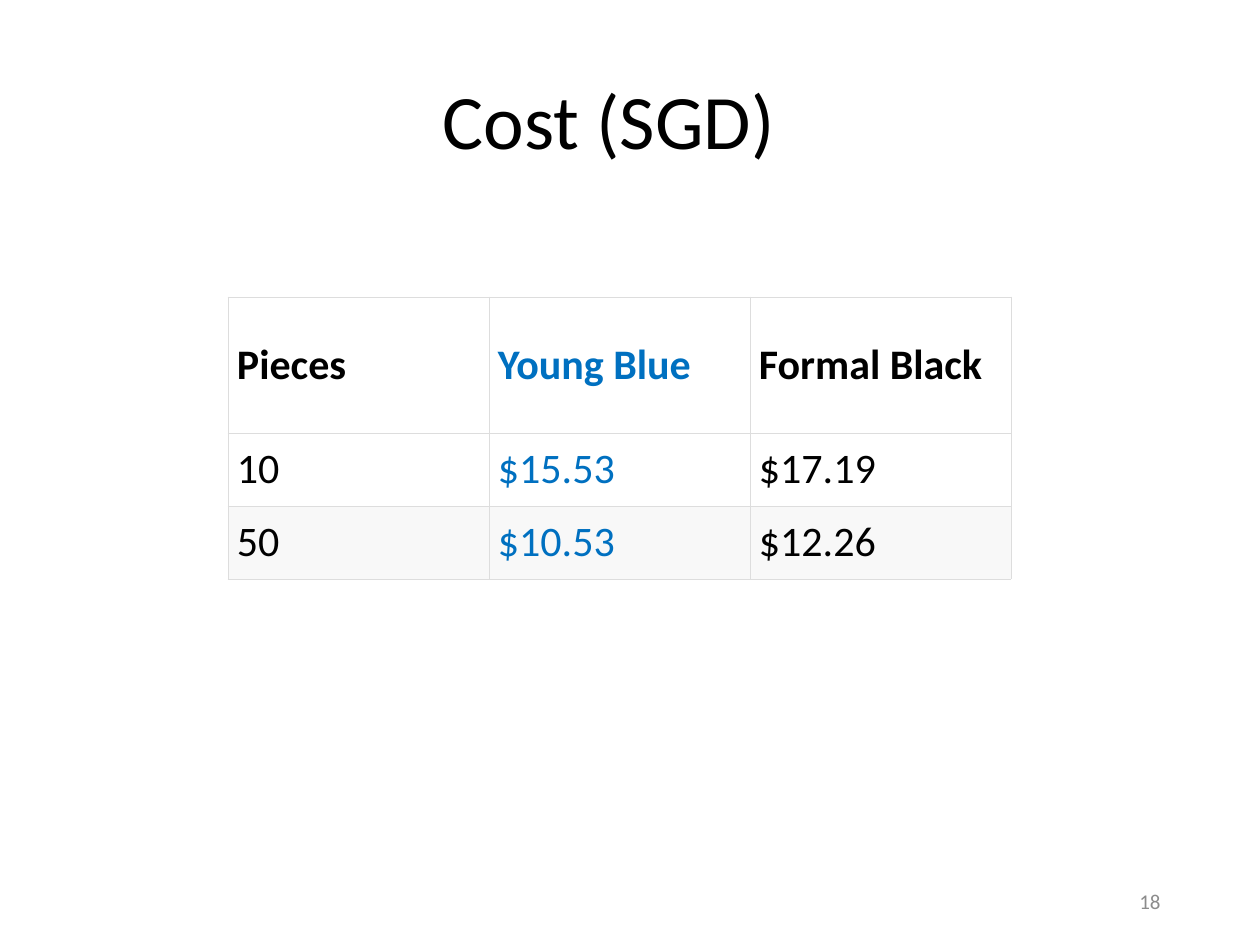
from lxml.etree import SubElement
from pptx import Presentation
from pptx.dml.color import RGBColor
from pptx.enum.text import MSO_ANCHOR, PP_ALIGN
from pptx.oxml.ns import qn
from pptx.util import Emu, Pt

SCALE = 914400 / 126
FONT = "Calibri"
COLORS = {
    "black": "000000",
    "blue": "0070C0",
    "grey": "8C8C8C",
    "line": "DDDDDD",
    "white": "FFFFFF",
    "band": "F8F8F8",
}
COSTS = [
    ["Pieces", "Young Blue", "Formal Black"],
    ["10", "$15.53", "$17.19"],
    ["50", "$10.53", "$12.26"],
]
INKS = ["black", "blue", "black"]
FILLS = ["white", "white", "band"]
HEIGHTS = [136, 73, 73]


def px(num):
    return Emu(round(num * SCALE))


def place(shape, box):
    shape.left, shape.top, shape.width, shape.height = map(px, box)


def write(para, text, size, color, bold=False):
    run = para.add_run()
    run.text = text
    font = run.font
    font.name, font.size, font.bold = FONT, Pt(size), bold
    font.color.rgb = RGBColor.from_string(COLORS[color])


def border(cell):
    props = cell._tc.get_or_add_tcPr()
    for at, side in enumerate(("lnL", "lnR", "lnT", "lnB")):
        line = SubElement(props, qn(f"a:{side}"), w=str(Pt(0.38)))
        fill = SubElement(line, qn("a:solidFill"))
        SubElement(fill, qn("a:srgbClr"), val=COLORS["line"])
        props.insert(at, line)


def add_title(slide, box):
    title = slide.shapes.title
    place(title, box)
    frame = title.text_frame
    frame.word_wrap = True
    frame.vertical_anchor = MSO_ANCHOR.MIDDLE
    para = frame.paragraphs[0]
    para.alignment = PP_ALIGN.LEFT
    para.line_spacing = 0.9
    write(para, "Cost (SGD)", 44, "black")


def add_costs(slide, box):
    rows, cols = len(COSTS), len(COSTS[0])
    table = slide.shapes.add_table(rows, cols, *map(px, box)).table
    for col in table.columns:
        col.width = px(box[2] / cols)
    for row, height in zip(table.rows, HEIGHTS):
        row.height = px(height)
    for r, texts in enumerate(COSTS):
        for c, text in enumerate(texts):
            cell = table.cell(r, c)
            cell.margin_left = cell.margin_right = px(9)
            cell.margin_top = cell.margin_bottom = px(4)
            cell.vertical_anchor = MSO_ANCHOR.MIDDLE
            cell.fill.solid()
            cell.fill.fore_color.rgb = RGBColor.from_string(COLORS[FILLS[r]])
            border(cell)
            write(cell.text_frame.paragraphs[0], text, 24, INKS[c], r == 0)


def add_number(slide, box):
    frame = slide.shapes.add_textbox(*map(px, box)).text_frame
    frame.word_wrap = True
    frame.vertical_anchor = MSO_ANCHOR.MIDDLE
    para = frame.paragraphs[0]
    para.alignment = PP_ALIGN.RIGHT
    write(para, "18", 12, "grey")


def main():
    deck = Presentation()
    deck.slide_width, deck.slide_height = px(1260), px(945)
    slide = deck.slides.add_slide(deck.slide_layouts[5])
    add_title(slide, (430, 33, 378, 183))
    add_costs(slide, (228, 297, 783, sum(HEIGHTS)))
    add_number(slide, (890, 876, 283, 50))
    deck.save("out.pptx")


if __name__ == "__main__":
    main()
